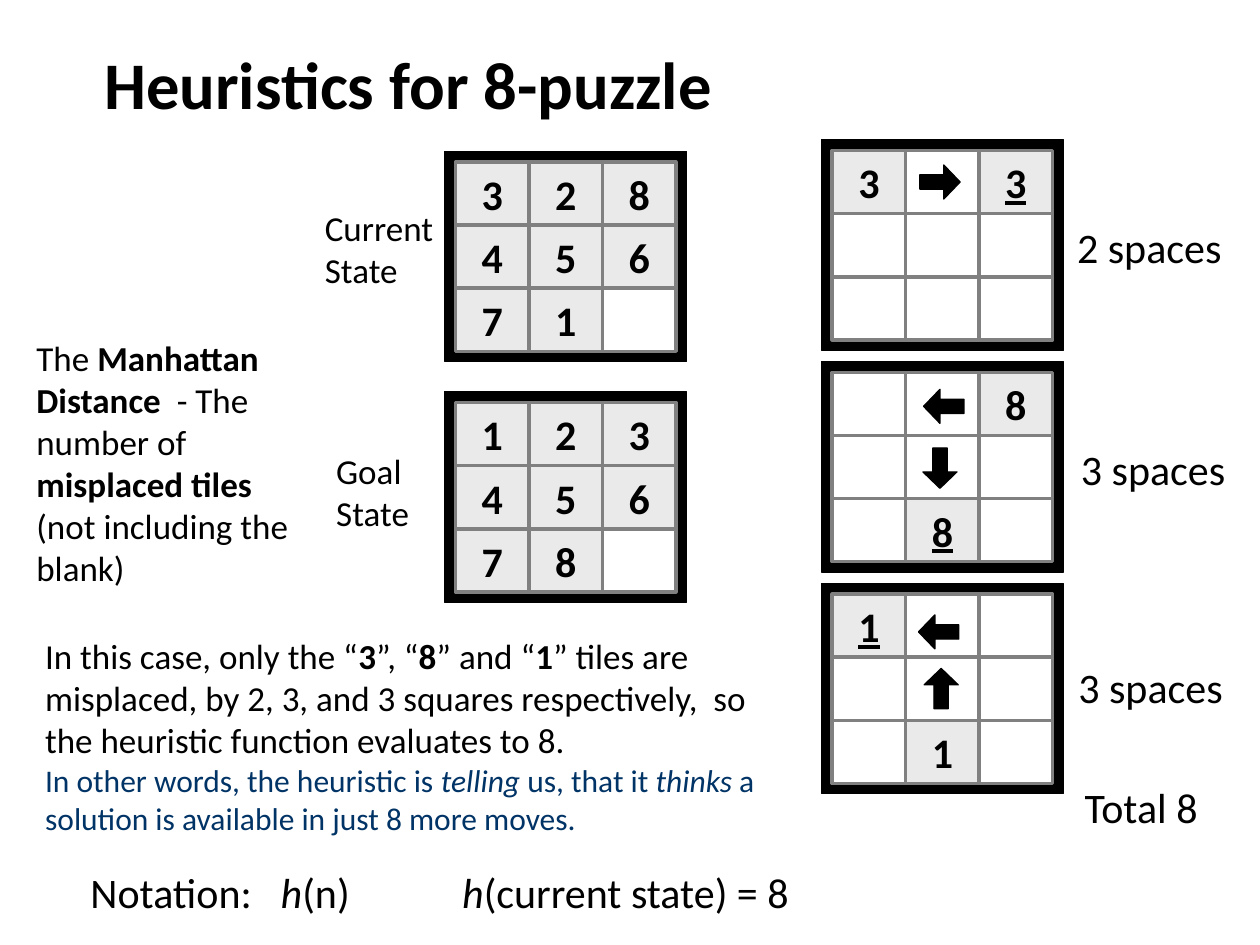
from dataclasses import dataclass

from lxml.etree import SubElement
from pptx import Presentation
from pptx.dml.color import RGBColor
from pptx.enum.shapes import MSO_SHAPE
from pptx.enum.text import MSO_ANCHOR, PP_ALIGN
from pptx.oxml.ns import qn
from pptx.util import Inches, Pt


@dataclass(frozen=True)
class Theme:
    """Colours, type sizes and line widths of the slide."""
    font: str = "Calibri"
    ink: str = "000000"
    remark: str = "003366"
    tile: str = "EAEAEA"
    blank: str = "FFFFFF"
    rule: str = "808080"
    title_size: int = 38
    large: int = 24
    body: int = 20
    small: int = 18
    tile_line: float = 2
    thin_line: float = 0.75


THEME = Theme()
COLUMNS, ROWS = 100, 75
UNIT = Inches(0.1)
BOARD_WIDTH, BOARD_HEIGHT, BOARD_EDGE = 19.2, 16.7, 0.85
TILE_WIDTH, TILE_HEIGHT = 5.83, 5.01
ARROW_WIDTH, ARROW_HEIGHT = 3.2, 2.7


def grid(*cells):
    """Turn grid columns and rows into slide lengths."""
    return [round(cell * UNIT) for cell in cells]


def write(frame, *paragraphs, size=THEME.body, color=THEME.ink, bold=False,
          underline=False, align=PP_ALIGN.LEFT, anchor=MSO_ANCHOR.TOP, wrap=True):
    """Fill a frame; a run is a string or a (string, style letters) pair."""
    frame.word_wrap = wrap
    frame.vertical_anchor = anchor
    for index, runs in enumerate(paragraphs):
        paragraph = frame.add_paragraph() if index else frame.paragraphs[0]
        paragraph.alignment = align
        for item in runs:
            words, style = (item, "") if isinstance(item, str) else item
            run = paragraph.add_run()
            run.text = words
            font = run.font
            font.name, font.size = THEME.font, Pt(size)
            font.bold = bold or "b" in style
            font.italic = "i" in style
            font.underline = underline
            remark = "r" in style
            font.size = Pt(THEME.small if remark else size)
            font.color.rgb = RGBColor.from_string(THEME.remark if remark else color)


def add_label(slide, box, *paragraphs, **text_format):
    """Add a text box at a grid box."""
    frame = slide.shapes.add_textbox(*grid(*box)).text_frame
    write(frame, *paragraphs, **text_format)
    return frame


def add_block(shapes, kind, box, fill, line, line_width=THEME.thin_line):
    """Add a filled and outlined preset shape."""
    block = shapes.add_shape(kind, *grid(*box))
    block.shadow.inherit = False
    block.fill.solid()
    block.fill.fore_color.rgb = RGBColor.from_string(fill)
    block.line.color.rgb = RGBColor.from_string(line)
    block.line.width = Pt(line_width)
    return block


def add_board(shapes, left, top, rows, target=None):
    """Add a 3 by 3 board, underlining the number on the target cell."""
    add_block(shapes, MSO_SHAPE.RECTANGLE, (left, top, BOARD_WIDTH, BOARD_HEIGHT),
              THEME.ink, THEME.ink)
    for row, numbers in enumerate(rows):
        for column, number in enumerate(numbers):
            box = (left + BOARD_EDGE + column * TILE_WIDTH,
                   top + BOARD_EDGE + row * TILE_HEIGHT, TILE_WIDTH, TILE_HEIGHT)
            filled = number != " "
            tile = add_block(shapes, MSO_SHAPE.RECTANGLE, box,
                             THEME.tile if filled else THEME.blank,
                             THEME.rule, THEME.tile_line)
            if filled:
                frame = tile.text_frame
                frame.margin_top = frame.margin_bottom = 0
                write(frame, [number], size=THEME.large, bold=True,
                      underline=(row, column) == target,
                      align=PP_ALIGN.CENTER, anchor=MSO_ANCHOR.MIDDLE)


def add_move(slide, left, top, rotation):
    """Add a block arrow for one move of a tile."""
    arrow = add_block(slide.shapes, MSO_SHAPE.RIGHT_ARROW,
                      (left, top, ARROW_WIDTH, ARROW_HEIGHT), THEME.ink, THEME.ink)
    arrow.adjustments[0], arrow.adjustments[1] = 0.42, 0.48
    arrow.rotation = rotation


def set_tabs(paragraph, *stops):
    """Give a paragraph left tab stops at grid columns."""
    tab_list = SubElement(paragraph._p.get_or_add_pPr(), qn("a:tabLst"))
    for stop in grid(*stops):
        SubElement(tab_list, qn("a:tab"), pos=str(stop), algn="l")


def add_explanation(slide):
    """Add the title, the definition, the worked case and the notation."""
    add_label(slide, (7.3, 2.1, 85, 9), ["Heuristics for 8-puzzle"],
              size=THEME.title_size, bold=True, anchor=MSO_ANCHOR.MIDDLE)
    add_label(slide, (1.9, 26.2, 23.1, 21.2),
              ["The ", ("Manhattan Distance  ", "b"), "- The number of ",
               ("misplaced tiles", "b"), " (not including the blank)"])
    add_label(slide, (2.6, 49.9, 60.6, 17),
              ["In this case, only the “", ("3", "b"), "”, “", ("8", "b"),
               "” and “", ("1", "b"),
               "” tiles are misplaced, by 2, 3, and 3 squares respectively,  "
               "so the heuristic function evaluates to 8."],
              [("In other words, the heuristic is ", "r"), ("telling", "ri"),
               (" us, that it ", "r"), ("thinks", "ri"),
               (" a solution is available in just 8 more moves.", "r")])
    notation = add_label(slide, (6.2, 68.3, 59.6, 5),
                         ["Notation:\t", ("h", "i"), "(n)\t", ("h", "i"),
                          "(current state) = 8"], size=THEME.large)
    set_tabs(notation.paragraphs[0], 15.1, 29.5)


def add_states(slide):
    """Add the current and goal boards with their names."""
    for top, rows in ((12, ("328", "456", "71 ")), (31.1, ("123", "456", "78 "))):
        add_board(slide.shapes.add_group_shape().shapes, 35.3, top, rows)
    add_label(slide, (25.7, 35.2, 11.6, 7.7), ["Goal State"])
    add_label(slide, (24.8, 15.9, 13, 7.7), ["Current State"])


def add_distances(slide):
    """Add the boards that trace each misplaced tile, with their counts."""
    traces = ((("3 3", "   ", "   "), (0, 2)),
              (("  8", "   ", " 8 "), (2, 1)),
              (("1  ", "   ", " 1 "), (0, 0)))
    for index, (rows, target) in enumerate(traces):
        add_board(slide.shapes, 65.2, 11.1 + index * 17.6, rows, target)
    for move in ((73, 13.1, 0), (73.3, 30.9, 180), (73, 35.8, 90),
                 (73.1, 53.3, 270), (72.9, 48.8, 180)):
        add_move(slide, *move)
    for left, top, count in ((84.5, 17.1, "2 spaces"), (84.8, 34.7, "3 spaces"),
                             (84.6, 52, "3 spaces"), (85.1, 61.5, "Total 8")):
        add_label(slide, (left, top, 13.7, 5), [count], size=THEME.large, wrap=False)


def main():
    """Build and save the slide."""
    deck = Presentation()
    deck.slide_width, deck.slide_height = grid(COLUMNS, ROWS)
    slide = deck.slides.add_slide(deck.slide_layouts[6])
    add_explanation(slide)
    add_states(slide)
    add_distances(slide)
    deck.save("out.pptx")


if __name__ == "__main__":
    main()
